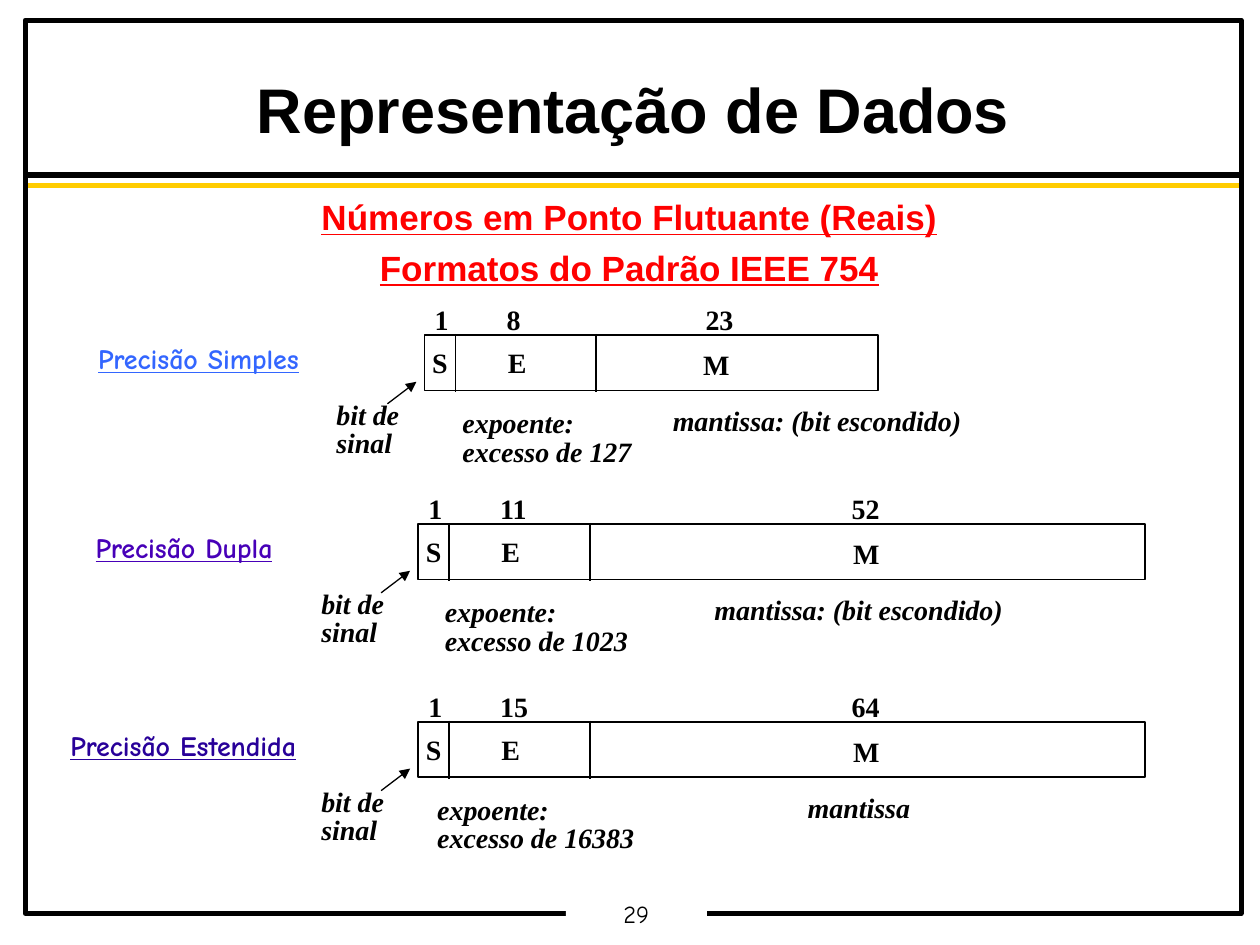
from lxml import etree
from pptx import Presentation, util as u
from pptx.dml.color import RGBColor
from pptx.enum import shapes, text
from pptx.oxml.ns import qn

deck = Presentation()
deck.slide_width, deck.slide_height = u.Inches(10), u.Inches(7.5)
slide = deck.slides.add_slide(deck.slide_layouts[1])

# Square grid: 100 columns by 75 rows
CELL = deck.slide_width / 100


def write(words, left, top, width, height, holder=None, size=16, font="Times New Roman",
          color="000000", bold=True, italic=False, underline=False, align="LEFT",
          spacing=0.85, before=0, insets=(0.7, 0.3), wrap=False, anchor="TOP"):
    """Put text, one paragraph per line, in a new text box or in the given holder."""
    area = [round(n * CELL) for n in (left, top, width, height)]
    holder = holder or slide.shapes.add_textbox(*area)
    holder.left, holder.top, holder.width, holder.height = area
    frame = holder.text_frame
    frame.text = words
    frame.word_wrap = wrap
    frame.auto_size = text.MSO_AUTO_SIZE.NONE
    frame.vertical_anchor = text.MSO_ANCHOR[anchor]
    frame.margin_left = frame.margin_right = round(insets[0] * CELL)
    frame.margin_top = frame.margin_bottom = round(insets[1] * CELL)
    for number, paragraph in enumerate(frame.paragraphs):
        properties = paragraph._p.get_or_add_pPr()
        properties.set("marL", "0")
        properties.set("indent", "0")
        etree.SubElement(properties, qn("a:buNone"))
        paragraph.alignment = text.PP_ALIGN[align]
        paragraph.line_spacing = spacing
        paragraph.space_before = u.Pt(before if number else 0)
        for run in paragraph.runs:
            run.font.size, run.font.name = u.Pt(size), font
            run.font.bold, run.font.italic, run.font.underline = bold, italic, underline
            run.font.color.rgb = RGBColor.from_string(color)


def rule(x1, y1, x2, y2, color="000000", weight=1, arrow=False):
    """Draw a straight line, with an arrowhead at its end if asked."""
    line = slide.shapes.add_connector(shapes.MSO_CONNECTOR.STRAIGHT,
                                      *[round(n * CELL) for n in (x1, y1, x2, y2)])
    line.line.color.rgb = RGBColor.from_string(color)
    line.line.width = u.Pt(weight)
    if arrow:
        etree.SubElement(line.line._get_or_add_ln(), qn("a:tailEnd"), type="triangle")
    etree.SubElement(line._element.spPr, qn("a:effectLst"))


# Page frame, header rules and page number
rule(2, 13.9, 98.4, 13.9, weight=3)
rule(2, 14.7, 98.4, 14.7, color="FFCC00", weight=3)
border = slide.shapes.add_shape(shapes.MSO_SHAPE.RECTANGLE,
                                *[round(n * CELL) for n in (2, 1.6, 96.5, 70.9)])
border.shadow.inherit = False
border.fill.background()
border.line.color.rgb = RGBColor.from_string("000000")
border.line.width = u.Pt(2.83)

page_number = slide.shapes.add_textbox(0, 0, 0, 0)
page_number.fill.solid()
page_number.fill.fore_color.rgb = RGBColor.from_string("FFFFFF")
write("29", 44.9, 71.3, 11.2, 2.7, holder=page_number, size=14, font="Comic Neue",
      bold=False, align="CENTER", spacing=0.9)

# Title and subject
write("Representação de Dados", 2, 5.7, 96.5, 6.3, holder=slide.shapes.title, size=36,
      font="Arial", align="CENTER", spacing=0.95, wrap=True, anchor="MIDDLE")
write("Números em Ponto Flutuante (Reais)\nFormatos do Padrão IEEE 754",
      2.7, 15.4, 94.5, 55.1, holder=slide.placeholders[1], size=20, font="Arial",
      color="FF0000", underline=True, align="CENTER", spacing=0.9, before=7.5,
      insets=(1, 0.5), wrap=True)

# Formats: (name, colour, left, width), word (left, top, width), sign note left,
# exponent (bits, bias, note left, note width),
# mantissa (bits, bits left, M left, note, note left, note width)
formats = [
    (("Precisão Simples", "3366FF", 6.8, 18), (33.7, 26.6, 36), 26,
     ("8", "127", 36, 14.8),
     ("23", 55.3, 55.1, "mantissa: (bit escondido)", 52.7, 24.3)),
    (("Precisão Dupla", "4700B8", 6.6, 16.1), (33.2, 41.6, 57.7), 24.8,
     ("11", "1023", 34.6, 15.9),
     ("52", 66.9, 67, "mantissa: (bit escondido)", 56, 24.3)),
    (("Precisão Estendida", "280099", 4.6, 20), (33.2, 57.3, 57.7), 24.8,
     ("15", "16383", 34, 17),
     ("64", 66.9, 67, "mantissa", 63.4, 9.5)),
]

for label, (left, top, width), sign_left, exponent, mantissa in formats:
    name, color, name_left, name_width = label
    exponent_bits, bias, bias_left, bias_width = exponent
    mantissa_bits, bits_left, letter_left, note, note_left, note_width = mantissa

    write(name, name_left, top, name_width, 3.7, font="Comic Neue", color=color,
          underline=True, spacing=1, insets=(1, 0.5))

    # Word outline and field dividers
    word = slide.shapes.add_shape(shapes.MSO_SHAPE.RECTANGLE,
                                  *[round(n * CELL) for n in (left, top, width, 4.4)])
    word.shadow.inherit = False
    word.fill.background()
    word.line.color.rgb = RGBColor.from_string("000000")
    word.line.width = u.Pt(1)
    for divider in (left + 2.45, left + 13.6):
        rule(divider, top - 0.1, divider, top + 4.5)

    # Field sizes above, field letters inside
    exponent_width = 1.4 + 1.1 * len(exponent_bits)
    for bits, x, bits_width in (("1", left + 0.1, 2.5),
                                (exponent_bits, left + 5.8, exponent_width),
                                (mantissa_bits, bits_left, 3.6)):
        write(bits, x, top - 2.5, bits_width, 2.8)
    for letter, x, y, letter_width in (("S", left - 0.1, 0.95, 2.6),
                                       ("E", left + 5.9, 0.95, 2.9),
                                       ("M", letter_left, 1.1, 3.5)):
        write(letter, x, top + y, letter_width, 2.8)

    # Notes below the word
    write("bit de\nsinal", sign_left, top + 5.05, 6.4, 5.1, italic=True, wrap=True)
    write(f"expoente:\nexcesso de {bias}", bias_left, top + 5.7, bias_width, 5.1, italic=True)
    write(note, note_left, top + 5.55, note_width, 2.8, italic=True)
    rule(left - 2.95, top + 5.45, left - 0.65, top + 3.7, weight=0.75, arrow=True)

deck.save("out.pptx")
